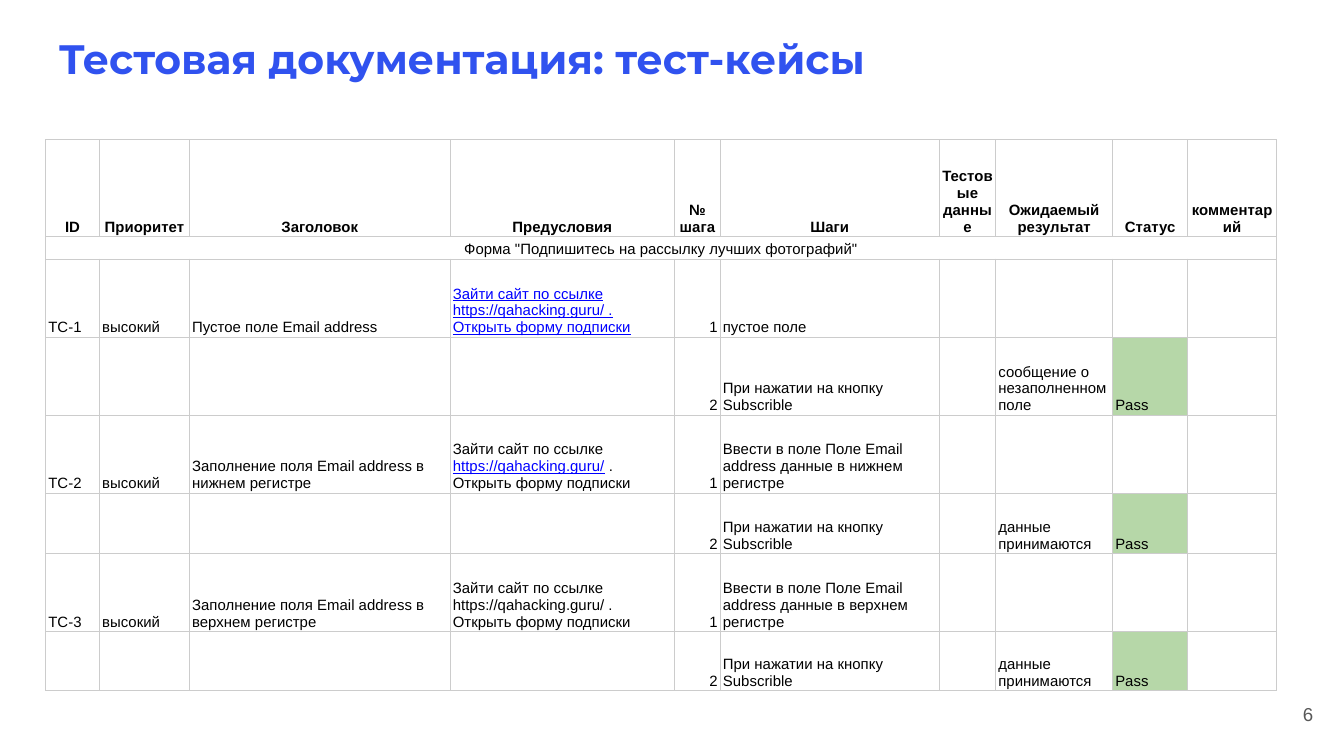
from lxml import etree
from pptx import Presentation
from pptx.dml.color import RGBColor
from pptx.enum.text import MSO_ANCHOR, PP_ALIGN
from pptx.oxml.ns import qn
from pptx.util import Inches, Pt

LEFT, CENTER, RIGHT = PP_ALIGN.LEFT, PP_ALIGN.CENTER, PP_ALIGN.RIGHT
TOP, MIDDLE, BOTTOM = MSO_ANCHOR.TOP, MSO_ANCHOR.MIDDLE, MSO_ANCHOR.BOTTOM
BLACK = RGBColor(0x00, 0x00, 0x00)
BLUE = RGBColor(0x30, 0x52, 0xEF)
LINK = RGBColor(0x00, 0x00, 0xFF)
GRAY = RGBColor(0x58, 0x58, 0x58)
BORDER = RGBColor(0xCC, 0xCC, 0xCC)
WHITE = RGBColor(0xFF, 0xFF, 0xFF)
GREEN = RGBColor(0xB6, 0xD7, 0xA8)


def write(tf, text, size=8, font="Arial", color=BLACK, bold=False, align=LEFT, link=""):
    p = tf.paragraphs[0]
    p.alignment = align
    before, found, after = text.partition(link) if link else (text, "", "")
    for part in (before, found, after):
        if part or (part is before and not found):
            r = p.add_run()
            r.text = part
            r.font.size = Pt(size)
            r.font.name = font
            r.font.bold = bold
            r.font.color.rgb = color
            if link and part == found:
                r.font.color.rgb = LINK
                r.font.underline = True


def set_borders(cell):
    tcPr = cell._tc.get_or_add_tcPr()
    for i, side in enumerate(("a:lnL", "a:lnR", "a:lnT", "a:lnB")):
        ln = etree.Element(qn(side), w=str(Pt(0.75)))
        fill = etree.SubElement(ln, qn("a:solidFill"))
        etree.SubElement(fill, qn("a:srgbClr"), val=str(BORDER))
        tcPr.insert(i, ln)


prs = Presentation()
prs.slide_width = Inches(10)
prs.slide_height = prs.slide_width * 9 // 16
s = prs.slides.add_slide(prs.slide_layouts[6])

labels = [
    ("Тестовая документация: тест-кейсы", (0.34, 0.15, 9.32, 0.63), TOP,
     dict(size=22, font="Montserrat", color=BLUE, bold=True)),
    ("6", (9.5, 5.14, 0.37, 0.35), MIDDLE, dict(size=10, color=GRAY, align=RIGHT)),
]
for text, box, anchor, style in labels:
    tf = s.shapes.add_textbox(*[Inches(v) for v in box]).text_frame
    tf.word_wrap = True
    tf.vertical_anchor = anchor
    tf.margin_left = tf.margin_right = tf.margin_top = tf.margin_bottom = Inches(0.1)
    write(tf, text, **style)

url = "https://qahacking.guru/"
precondition = f"Зайти сайт по ссылке {url} . Открыть форму подписки"
press = "При нажатии на кнопку Subscrible"
accepted = "данные принимаются"
cases = [
    ("TC-1", "Пустое поле Email address", "пустое поле", "сообщение о незаполненном поле"),
    ("TC-2", "Заполнение поля Email address в нижнем регистре",
     "Ввести в поле Поле Email address данные в нижнем регистре", accepted),
    ("TC-3", "Заполнение поля Email address в верхнем регистре",
     "Ввести в поле Поле Email address данные в верхнем регистре", accepted),
]
rows = [
    ["ID", "Приоритет", "Заголовок", "Предусловия", "№ шага", "Шаги",
     "Тестовые данные", "Ожидаемый результат", "Статус", "комментарий"],
    ['Форма "Подпишитесь на рассылку лучших фотографий"'] + [""] * 9,
]
for case_id, title, step, result in cases:
    rows.append([case_id, "высокий", title, precondition, "1", step, "", "", "", ""])
    rows.append(["", "", "", "", "2", press, "", result, "Pass", ""])
links = {(2, 3): precondition, (4, 3): url}

widths = [0.4, 0.67, 1.94, 1.67, 0.34, 1.63, 0.42, 0.87, 0.56, 0.66]
heights = [0.72, 0.17, 0.58, 0.58, 0.58, 0.45, 0.58, 0.44]
table = s.shapes.add_table(len(rows), len(widths), Inches(0.34), Inches(1.04),
                           Inches(sum(widths)), Inches(sum(heights))).table
table.first_row = False
table.horz_banding = False
for column, width in zip(table.columns, widths):
    column.width = Inches(width)
for row, height in zip(table.rows, heights):
    row.height = Inches(height)

for i, row in enumerate(rows):
    for j, text in enumerate(row):
        cell = table.cell(i, j)
        cell.vertical_anchor = BOTTOM
        cell.margin_left = cell.margin_right = Inches(0.02)
        cell.margin_top = cell.margin_bottom = Inches(0.01)
        if text == "Pass":
            cell.fill.solid()
            cell.fill.fore_color.rgb = GREEN
        elif j == 8 and i > 1:
            cell.fill.solid()
            cell.fill.fore_color.rgb = WHITE
        else:
            cell.fill.background()
        set_borders(cell)
        align = CENTER if i < 2 else RIGHT if j == 4 else LEFT
        write(cell.text_frame, text, bold=i == 0, align=align, link=links.get((i, j), ""))
table.cell(1, 0).merge(table.cell(1, len(widths) - 1))

prs.save("out.pptx")
